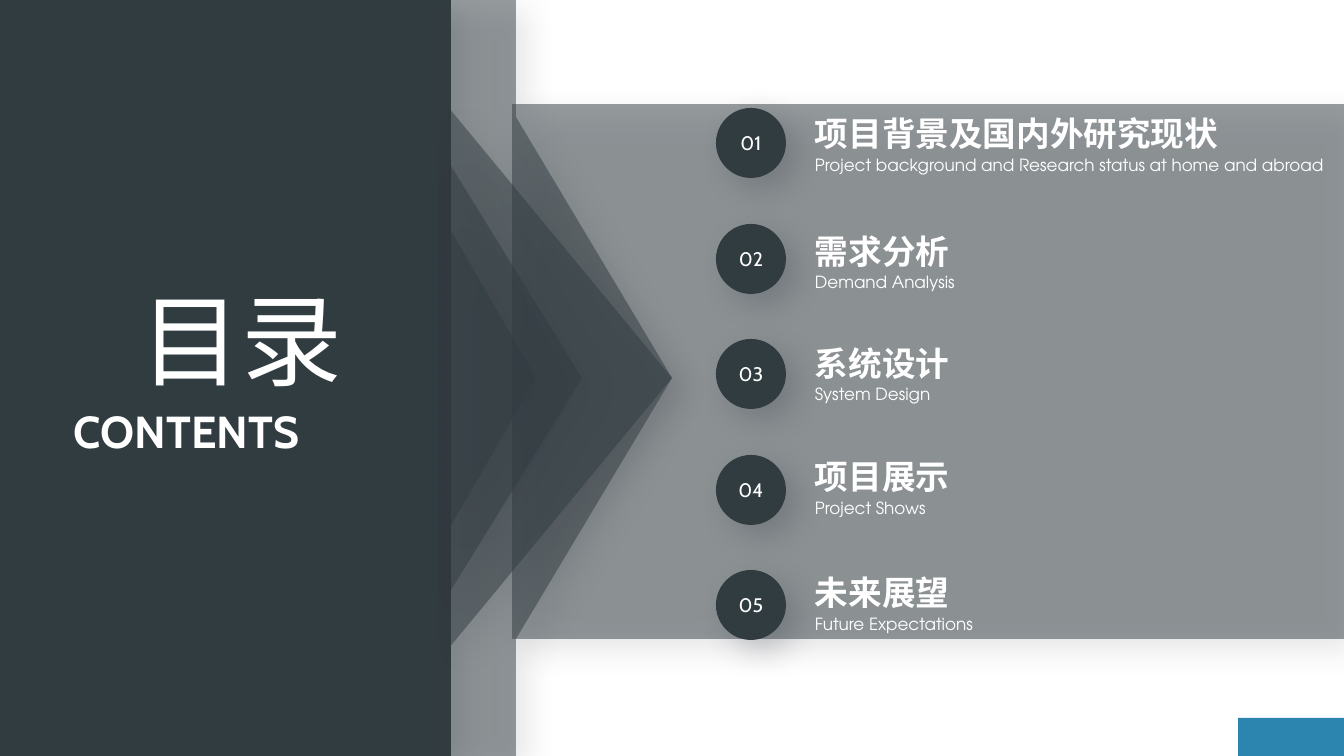
from dataclasses import dataclass

from lxml.etree import SubElement
from pptx import Presentation
from pptx.dml.color import RGBColor
from pptx.enum.shapes import MSO_SHAPE as SHAPE
from pptx.enum.text import MSO_ANCHOR as ANCHOR, MSO_AUTO_SIZE as AUTO, PP_ALIGN as ALIGN
from pptx.oxml.ns import qn
from pptx.util import Emu, Pt

# Content: number, title, subtitle, top of the title in px
SECTIONS = [
    ("01", "项目背景及国内外研究现状", "Project background and Research status at home and abroad", 113),
    ("02", "需求分析", "Demand Analysis", 230),
    ("03", "系统设计", "System Design", 342),
    ("04", "项目展示", "Project Shows", 456),
    ("05", "未来展望", "Future Expectations", 572),
]
HEADING = "目录"
HEADING_EN = "CONTENTS"

# Layout in px
SLIDE_W, SLIDE_H = 1344, 756
MID_Y = SLIDE_H // 2
SIDEBAR_W = 451
BAND_RIGHT = 516
ARROW_TIP, ARROW_TOP, ARROW_BOTTOM = 672, 117, 639
ARROW_BAND = [
    (SIDEBAR_W, 0), (SIDEBAR_W, SLIDE_H), (BAND_RIGHT, SLIDE_H), (BAND_RIGHT, ARROW_BOTTOM),
    (ARROW_TIP, MID_Y), (BAND_RIGHT, ARROW_TOP), (BAND_RIGHT, 0),
]
CHEVRONS = [(221, 535), (131, 424), (85, 295)]  # depth, height
BADGE_X, BADGE_Y, BADGE_SIZE, BADGE_STEP = 716, 108, 70, 115.6
TEXT_X, SUBTITLE_DROP = 805, 39
PX = 12192000 / SLIDE_W


@dataclass(frozen=True)
class Theme:
    dark: str = "313C41"
    accent: str = "2C85AE"
    text: str = "FFFFFF"
    shadow: str = "32363F"
    shadow_alpha: int = 23
    shadow_blur: int = 22
    shadow_dist: int = 11
    shadow_angle: int = 45
    glass_alpha: int = 50
    display_font: str = "Cabin"
    title_font: str = "Noto Sans CJK SC"
    subtitle_font: str = "TeX Gyre Adventor"
    heading_size: int = 72
    heading_en_size: int = 32
    title_size: int = 24
    badge_size: int = 14
    subtitle_size: int = 12


THEME = Theme()


def px(*lengths):
    return [Emu(round(n * PX)) for n in lengths]


def add_alpha(color, percent):
    SubElement(color, qn("a:alpha"), val=str(percent * 1000))


def paint(sp, color, alpha=None, shadow=True):
    sp.fill.solid()
    sp.fill.fore_color.rgb = RGBColor.from_string(color)
    sp.line.fill.background()
    sp.shadow.inherit = False
    props = sp.element.spPr
    if alpha is not None:
        add_alpha(props.find(qn("a:solidFill")).find(qn("a:srgbClr")), alpha)
    if shadow:
        outer = SubElement(
            props.find(qn("a:effectLst")), qn("a:outerShdw"),
            blurRad=str(Pt(THEME.shadow_blur)), dist=str(Pt(THEME.shadow_dist)),
            dir=str(THEME.shadow_angle * 60000), algn="tl", rotWithShape="0")
        add_alpha(SubElement(outer, qn("a:srgbClr"), val=THEME.shadow), THEME.shadow_alpha)


def add_block(slide, kind, box, color, **style):
    sp = slide.shapes.add_shape(kind, *px(*box))
    paint(sp, color, **style)
    return sp


def write(tf, text, font, size, align=ALIGN.LEFT, bold=False, spacing=None):
    p = tf.paragraphs[0]
    p.alignment = align
    p.line_spacing = spacing
    r = p.add_run()
    r.text = text
    r.font.name, r.font.size, r.font.bold = font, Pt(size), bold
    r.font.color.rgb = RGBColor.from_string(THEME.text)
    SubElement(r.font.element if hasattr(r.font, "element") else r._r.get_or_add_rPr(),
               qn("a:ea"), typeface=font)


def add_label(slide, box, text, font, size, **style):
    tf = slide.shapes.add_textbox(*px(*box)).text_frame
    tf.word_wrap = True
    tf.auto_size = AUTO.SHAPE_TO_FIT_TEXT
    write(tf, text, font, size, spacing=0.9, **style)


def add_arrow(slide):
    """Draw the vertical band with its point, then the nested chevrons."""
    builder = slide.shapes.build_freeform(*ARROW_BAND[0], scale=PX)
    builder.add_line_segments(ARROW_BAND[1:], close=True)
    paint(builder.convert_to_shape(), THEME.dark, alpha=THEME.glass_alpha)
    for depth, height in CHEVRONS:
        left = SIDEBAR_W + (depth - height) / 2
        box = (left, MID_Y - depth / 2, height, depth)
        sp = add_block(slide, SHAPE.ISOSCELES_TRIANGLE, box, THEME.dark, alpha=THEME.glass_alpha)
        sp.rotation = 90


def add_section(slide, index, number, title, subtitle, top):
    badge_y = BADGE_Y + round(index * BADGE_STEP)
    badge = add_block(slide, SHAPE.OVAL, (BADGE_X, badge_y, BADGE_SIZE, BADGE_SIZE), THEME.dark)
    badge.text_frame.vertical_anchor = ANCHOR.MIDDLE
    write(badge.text_frame, number, THEME.display_font, THEME.badge_size, align=ALIGN.CENTER)
    add_label(slide, (TEXT_X, top, 465, 46), title, THEME.title_font, THEME.title_size, bold=True)
    add_label(slide, (TEXT_X, top + SUBTITLE_DROP, SLIDE_W - TEXT_X, 28), subtitle,
              THEME.subtitle_font, THEME.subtitle_size)


def main():
    prs = Presentation()
    prs.slide_width, prs.slide_height = px(SLIDE_W, SLIDE_H)
    slide = prs.slides.add_slide(prs.slide_layouts[6])

    add_block(slide, SHAPE.RECTANGLE, (1238, 718, 106, 38), THEME.accent, shadow=False)
    add_block(slide, SHAPE.RECTANGLE, (512, 104, 832, 535), THEME.dark, alpha=THEME.glass_alpha)
    add_block(slide, SHAPE.RECTANGLE, (0, 0, SIDEBAR_W, SLIDE_H), THEME.dark)
    add_arrow(slide)
    add_label(slide, (22, 286, 438, 120), HEADING, THEME.display_font, THEME.heading_size,
              align=ALIGN.CENTER)
    add_label(slide, (64, 405, 363, 59), HEADING_EN, THEME.display_font, THEME.heading_en_size,
              align=ALIGN.JUSTIFY, bold=True)
    for index, section in enumerate(SECTIONS):
        add_section(slide, index, *section)

    prs.save("out.pptx")


if __name__ == "__main__":
    main()
